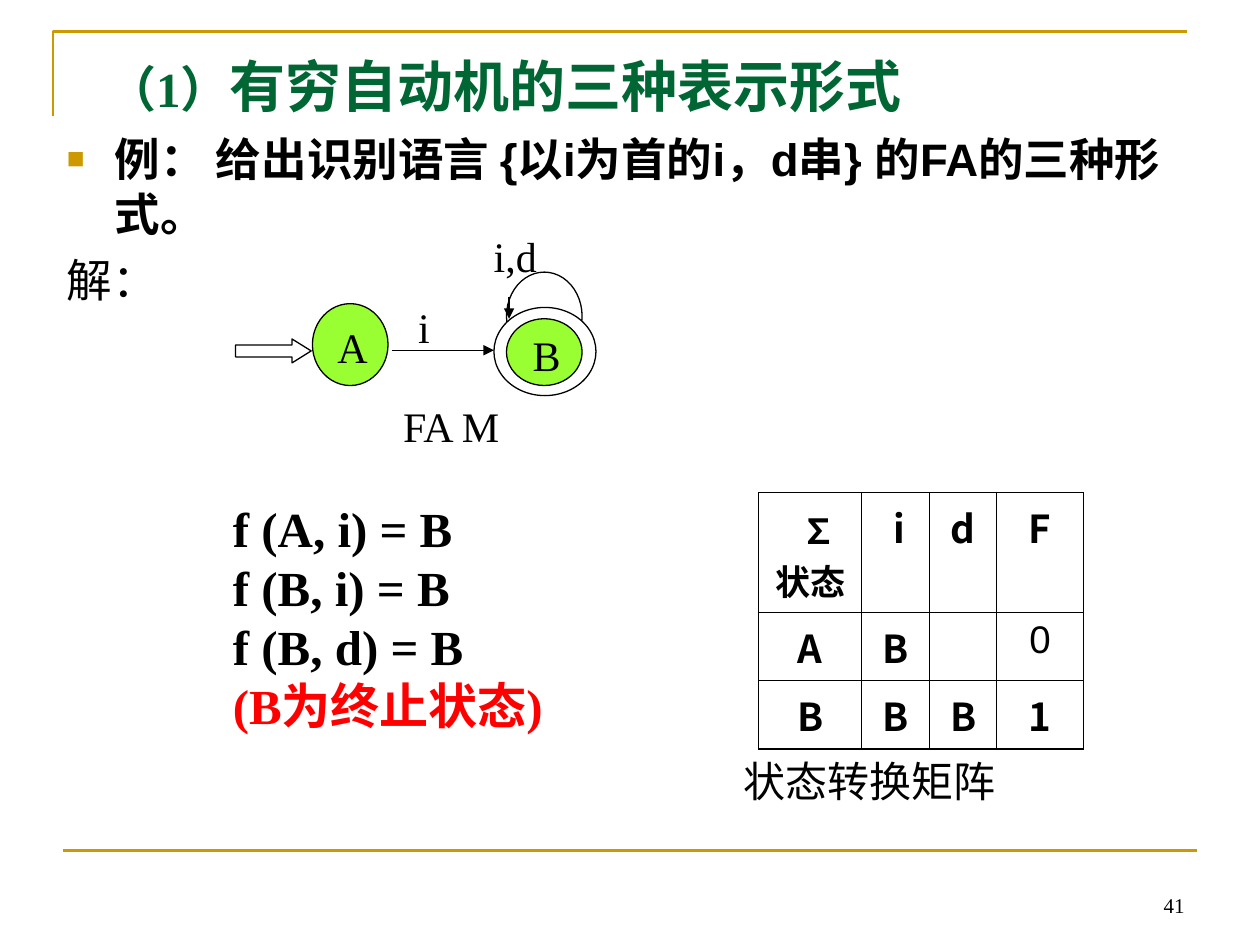
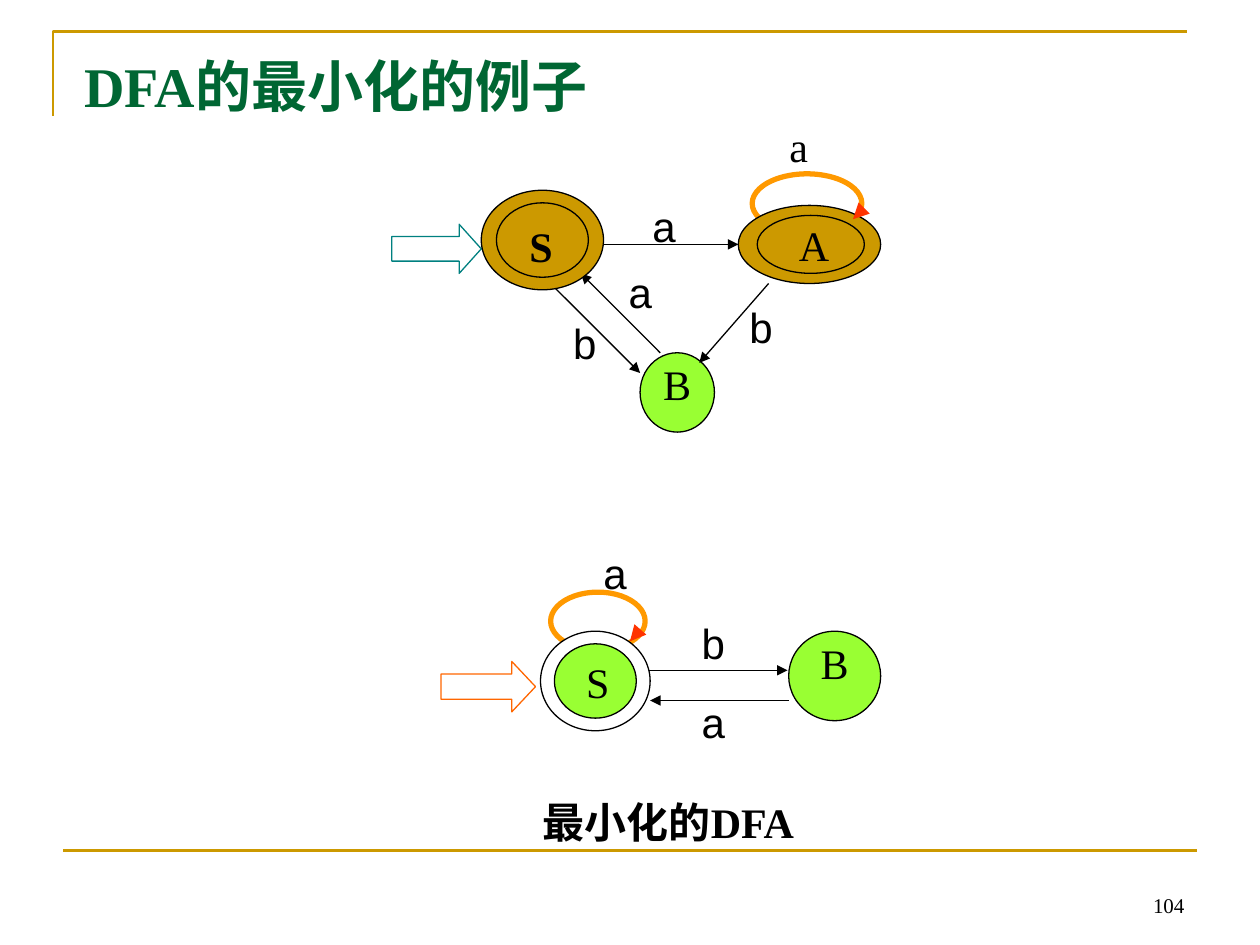
from lxml.etree import SubElement
from pptx import Presentation
from pptx.dml.color import RGBColor
from pptx.enum.shapes import MSO_CONNECTOR, MSO_SHAPE
from pptx.enum.text import MSO_ANCHOR, MSO_AUTO_SIZE, PP_ALIGN
from pptx.oxml.ns import qn
from pptx.util import Inches, Pt

SERIF, SANS, CJK = "Times New Roman", "Arial", "Noto Sans CJK SC"
BLACK, WHITE, RED = "000000", "FFFFFF", "FF0000"
GOLD, GREEN, LIME = "CC9900", "006633", "99FF33"
ORANGE, VERMILION = "FF9900", "FF3300"
LEFT, CENTER, RIGHT = PP_ALIGN.LEFT, PP_ALIGN.CENTER, PP_ALIGN.RIGHT


def color(hex_code):
    return RGBColor.from_string(hex_code)


def inches(values):
    return [Inches(value) for value in values]


class Deck:
    def __init__(self):
        self.prs = Presentation()
        self.prs.slide_width, self.prs.slide_height = Inches(10), Inches(7.5)
        self.slide = None

    def start(self, layout, number):
        self.slide = self.prs.slides.add_slide(self.prs.slide_layouts[layout])
        builder = self.slide.shapes.build_freeform(Inches(0.42), Inches(0.92))
        builder.add_line_segments([inches((0.42, 0.25)), inches((9.42, 0.25))], close=False)
        self.paint(builder.convert_to_shape(), None, GOLD, 1.5)
        self.line((0.5, 6.75), (9.5, 6.75), GOLD, 1.5, arrow=False)
        self.text(number, (7.17, 6.83, 2.33, 0.5), 12, align=RIGHT, anchor=MSO_ANCHOR.BOTTOM)

    def paint(self, shape, fill, line, width):
        shape.shadow.inherit = False
        if fill:
            shape.fill.solid()
            shape.fill.fore_color.rgb = color(fill)
        else:
            shape.fill.background()
        shape.line.color.rgb = color(line)
        shape.line.width = Pt(width)

    def format(self, run, size, font=SERIF, tint=BLACK, bold=False):
        run.font.size, run.font.bold, run.font.name = Pt(size), bold, font
        run.font.color.rgb = color(tint)
        SubElement(run.font._element, qn("a:ea")).set("typeface", CJK)

    def frame(self, shape, box, anchor=MSO_ANCHOR.TOP):
        shape.left, shape.top, shape.width, shape.height = inches(box)
        frame = shape.text_frame
        frame.auto_size = MSO_AUTO_SIZE.NONE
        frame.word_wrap = True
        frame.vertical_anchor = anchor
        return frame

    def text(self, content, box, size=24, font=SERIF, tint=BLACK, bold=False,
             align=LEFT, anchor=MSO_ANCHOR.TOP):
        frame = self.frame(self.slide.shapes.add_textbox(0, 0, 0, 0), box, anchor)
        frame.text = content
        for paragraph in frame.paragraphs:
            paragraph.alignment = align
            for run in paragraph.runs:
                self.format(run, size, font, tint, bold)
        return frame

    def title(self, parts, box):
        paragraph = self.frame(self.slide.shapes.title, box).paragraphs[0]
        paragraph.alignment = LEFT
        for content, size in parts:
            run = paragraph.add_run()
            run.text = content
            self.format(run, size, SERIF, GREEN, True)

    def body(self, example, answer, box):
        frame = self.frame(self.slide.placeholders[1], box)
        frame.text = f"{example}\n{answer}"
        for index, paragraph in enumerate(frame.paragraphs):
            props = paragraph._p.get_or_add_pPr()
            props.set("marL", str(Inches(0.38)))
            props.set("indent", str(-Inches(0.38)))
            if index == 0:
                tint = SubElement(props, qn("a:buClr"))
                SubElement(tint, qn("a:srgbClr")).set("val", GOLD)
                SubElement(props, qn("a:buSzPct")).set("val", "65000")
                SubElement(props, qn("a:buFont")).set("typeface", SANS)
                SubElement(props, qn("a:buChar")).set("char", "■")
            else:
                SubElement(props, qn("a:buNone"))
            paragraph.space_before = Pt(6.5 if index else 0)
            self.format(paragraph.runs[0], 26, SANS, bold=index == 0)

    def ellipse(self, box, fill=None, line=BLACK, width=0.75):
        oval = self.slide.shapes.add_shape(MSO_SHAPE.OVAL, *inches(box))
        self.paint(oval, fill, line, width)

    def entry_arrow(self, box, head, line, fill=None):
        arrow = self.slide.shapes.add_shape(MSO_SHAPE.RIGHT_ARROW, *inches(box))
        arrow.adjustments[0], arrow.adjustments[1] = 0.5, head
        self.paint(arrow, fill, line, 0.75)

    def line(self, begin, end, tint=BLACK, width=0.75, arrow=True):
        connector = self.slide.shapes.add_connector(
            MSO_CONNECTOR.STRAIGHT, *inches(begin + end))
        connector.line.color.rgb = color(tint)
        connector.line.width = Pt(width)
        if arrow:
            SubElement(connector.line._get_or_add_ln(), qn("a:tailEnd")).set("type", "triangle")
        SubElement(connector._element.spPr, qn("a:effectLst"))

    def border(self, cell, side, width):
        edge = SubElement(cell._tc.get_or_add_tcPr(), qn(f"a:{side}"), w=str(Pt(width)))
        SubElement(SubElement(edge, qn("a:solidFill")), qn("a:srgbClr")).set("val", BLACK)

    def matrix(self, rows, box, widths, heights):
        shape = self.slide.shapes.add_table(len(rows), len(widths), *inches(box))
        table = shape.table
        table.first_row = table.horz_banding = False
        for column, width in zip(table.columns, widths):
            column.width = Inches(width)
        for row, height in zip(table.rows, heights):
            row.height = Inches(height)
        last_row, last_column = len(rows) - 1, len(widths) - 1
        for r, values in enumerate(rows):
            for c, value in enumerate(values):
                cell = table.cell(r, c)
                outer = {"lnL": c == 0, "lnR": c == last_column,
                         "lnT": r == 0, "lnB": r == last_row}
                for side, is_outer in outer.items():
                    self.border(cell, side, 0.96 if is_outer else 0.45)
                cell.fill.background()
                cell.text = value
                for paragraph in cell.text_frame.paragraphs:
                    paragraph.alignment = CENTER
                    for run in paragraph.runs:
                        plain = value == "0"
                        self.format(run, 20 if r == c == 0 else 22,
                                    SANS if plain else CJK, bold=not plain)
        corner = table.cell(0, 0)
        corner.margin_top = Inches(0.09)
        corner.text_frame.paragraphs[0]._p.get_or_add_pPr().set("marL", str(Inches(0.14)))
        table.cell(0, 1).margin_left = Inches(0.15)


def representations(deck):
    deck.start(1, "41")
    deck.title([("（1）", 28), ("有穷自动机的三种表示形式", 32)], (0.75, 0.36, 7.4, 0.64))
    deck.body("例： 给出识别语言 {以i为首的i，d串} 的FA的三种形式。", "解：",
              (0.43, 0.99, 8.91, 5.19))

    deck.text("FA M", (1.77, 3.13, 3.62, 0.7), align=CENTER)
    deck.entry_arrow((1.87, 2.69, 0.6, 0.19), 0.8, BLACK, WHITE)
    deck.text("i", (3.22, 2.34, 0.6, 0.53))
    deck.text("i,d", (3.82, 1.78, 1.01, 0.53))
    deck.ellipse((4.02, 2.16, 0.6, 0.7), WHITE)
    deck.ellipse((3.92, 2.44, 0.81, 0.7), WHITE)
    deck.ellipse((4.02, 2.53, 0.6, 0.53), LIME)
    deck.text("B", (4.13, 2.57, 0.6, 0.53))
    deck.ellipse((2.48, 2.41, 0.6, 0.65), LIME)
    deck.text("A", (2.58, 2.5, 0.6, 0.65))
    for begin, end in [((4.02, 2.53), (4.02, 2.53)), ((4.04, 2.36), (4.04, 2.53)),
                       ((2.48, 2.53), (2.48, 2.53)), ((3.11, 2.78), (3.92, 2.78))]:
        deck.line(begin, end)

    deck.matrix([["∑\n状态", "i", "d", "F"], ["A", "B", "", "0"], ["B", "B", "B", "1"]],
                (6.02, 3.91, 2.58, 2.03), (0.82, 0.54, 0.53, 0.69), (0.95, 0.54, 0.54))
    deck.text("状态转换矩阵", (5.71, 5.95, 2.38, 0.32), align=CENTER)
    rules = deck.text("f (A, i) = B\nf (B, i) = B\nf (B, d) = B\n(B为终止状态)",
                      (1.75, 3.91, 3.25, 1.97), 28, bold=True)
    rules.paragraphs[-1].runs[0].font.color.rgb = color(RED)


def minimization(deck):
    deck.start(5, "104")
    deck.title([("DFA的最小化的例子", 32)], (0.57, 0.36, 7.93, 0.89))

    deck.ellipse((5.97, 1.38, 0.87, 0.47), None, ORANGE, 3)
    deck.ellipse((5.86, 1.63, 1.13, 0.62), GOLD)
    deck.ellipse((6.01, 1.71, 0.85, 0.46), GOLD)
    deck.text("A", (6.21, 1.69, 0.5, 0.5), align=CENTER, anchor=MSO_ANCHOR.MIDDLE)
    deck.text("a", (6.04, 0.91, 0.6, 0.5), align=CENTER, anchor=MSO_ANCHOR.MIDDLE)
    deck.line((6.85, 1.66), (6.77, 1.74), VERMILION, 3)
    deck.entry_arrow((3.11, 1.78, 0.71, 0.39), 0.45, "008080")
    deck.ellipse((5.08, 2.8, 0.59, 0.63), LIME)
    deck.text("B", (5.08, 2.8, 0.59, 0.63), align=CENTER)
    for begin, end in [((4.68, 1.94), (5.86, 1.94)), ((6.1, 2.25), (5.55, 2.88)),
                       ((4.37, 2.25), (5.08, 2.96)), ((5.24, 2.8), (4.61, 2.17))]:
        deck.line(begin, end)
    deck.ellipse((3.82, 1.51, 0.97, 0.79), GOLD)
    deck.ellipse((3.94, 1.61, 0.73, 0.59), GOLD)
    deck.text("S", (3.98, 1.7, 0.63, 0.5), bold=True, align=CENTER, anchor=MSO_ANCHOR.MIDDLE)

    deck.ellipse((4.37, 4.7, 0.75, 0.46), None, ORANGE, 3)
    deck.ellipse((6.26, 5.01, 0.73, 0.71), LIME)
    deck.text("B", (6.26, 5.01, 0.73, 0.71), align=CENTER)
    deck.ellipse((4.29, 5.01, 0.87, 0.79), WHITE)
    deck.ellipse((4.4, 5.11, 0.65, 0.59), LIME)
    deck.text("S", (4.42, 5.16, 0.65, 0.59), align=CENTER)
    deck.entry_arrow((3.5, 5.25, 0.75, 0.4), 0.47, "FF6600")
    for begin, end in [((4.4, 5.11), (4.4, 5.11)), ((5.15, 5.32), (6.25, 5.32)),
                       ((6.26, 5.56), (5.16, 5.56))]:
        deck.line(begin, end)
    deck.line((5.07, 5.01), (5, 5.09), VERMILION, 3)

    for symbol, left, top in [("b", 4.45, 2.47), ("b", 5.85, 2.34), ("a", 5.08, 1.54),
                              ("a", 4.89, 2.07), ("a", 4.69, 4.3), ("b", 5.47, 4.85),
                              ("a", 5.47, 5.48)]:
        deck.text(symbol, (left, top, 0.4, 0.5), font=SANS)
    deck.text("最小化的DFA", (4.21, 6.27, 2.68, 0.5), bold=True)


def main():
    deck = Deck()
    representations(deck)
    minimization(deck)
    deck.prs.save("out.pptx")


if __name__ == "__main__":
    main()
